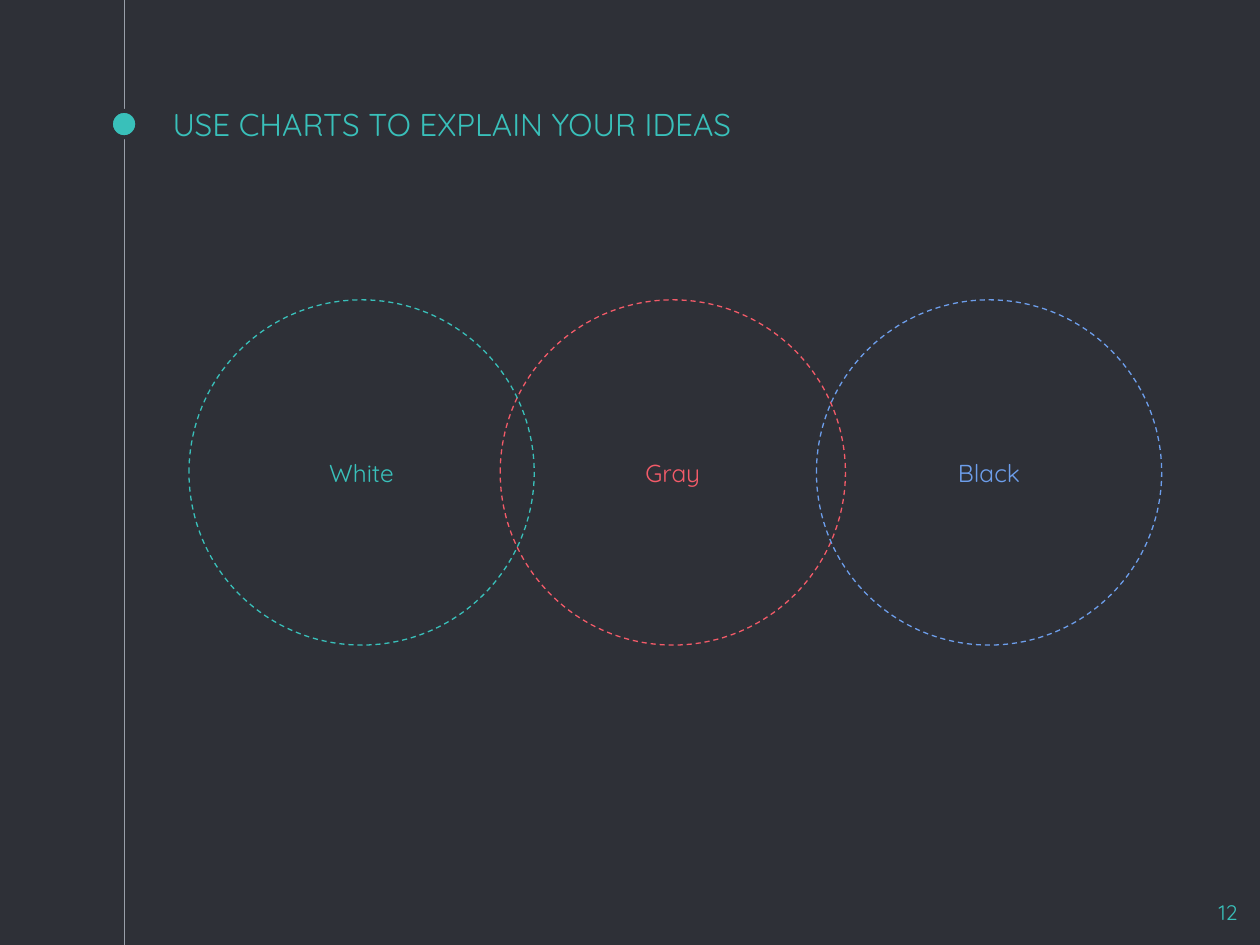
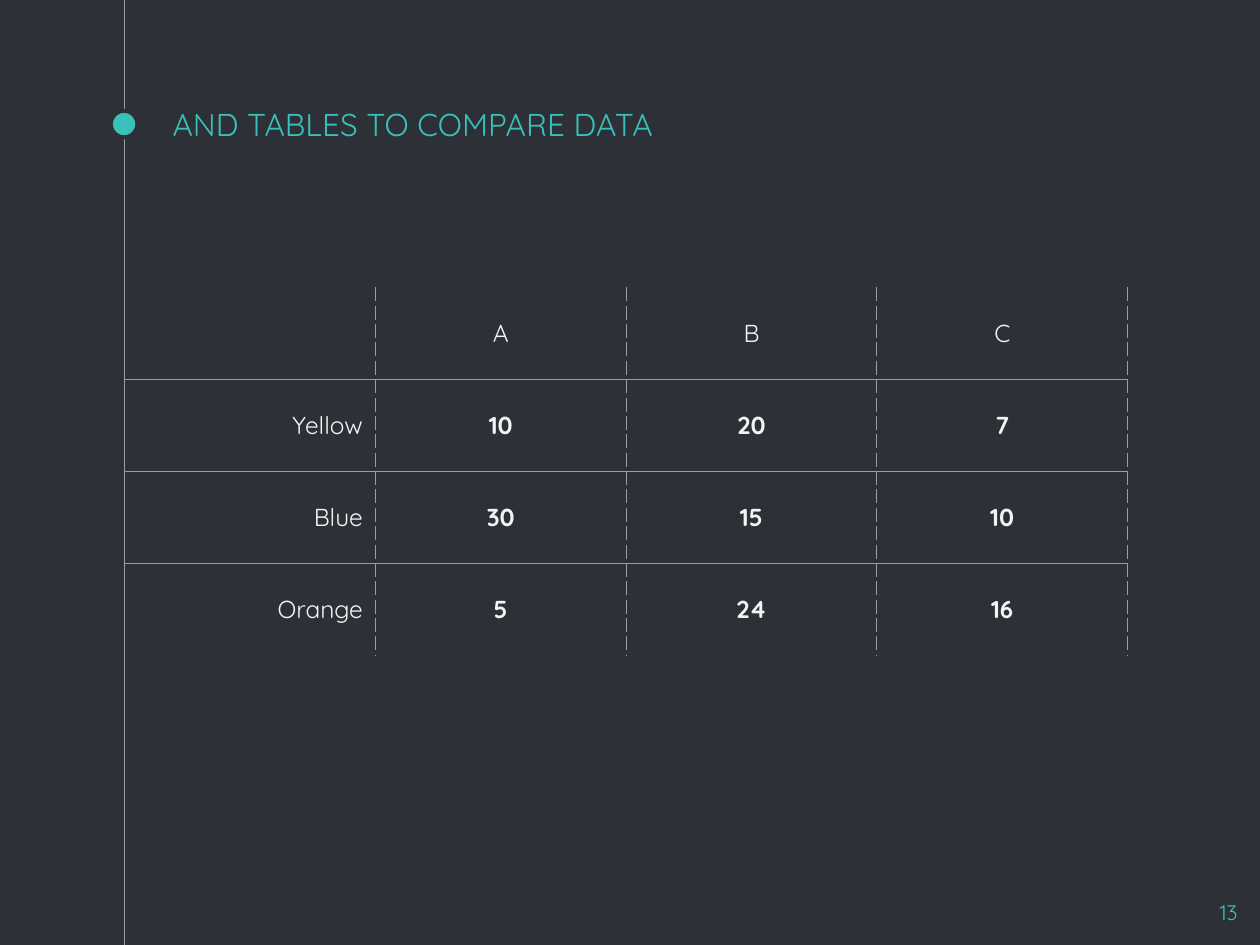
from dataclasses import dataclass

from lxml.etree import SubElement
from pptx import Presentation
from pptx.dml.color import RGBColor
from pptx.enum.dml import MSO_LINE
from pptx.enum.shapes import MSO_CONNECTOR, MSO_SHAPE
from pptx.enum.text import MSO_ANCHOR, MSO_AUTO_SIZE, PP_ALIGN
from pptx.oxml.ns import qn
from pptx.util import Inches, Pt


@dataclass(frozen=True)
class Theme:
    font: str = "Quicksand"
    background: str = "2E3037"
    teal: str = "39C0BA"
    red: str = "F35B69"
    blue: str = "6D9EEB"
    rule: str = "999FA9"
    light: str = "F3F3F3"
    title_size: int = 18
    body_size: int = 14
    number_size: int = 12
    thin: float = 0.75
    thick: float = 2.25
    inset: float = 0.1
    timeline_x: float = 0.99


class Deck:
    """Holds the theme and the slide being built."""

    def __init__(self, theme):
        self.theme = theme
        self.presentation = Presentation()
        self.presentation.slide_width = Inches(10)
        self.presentation.slide_height = Inches(7.5)
        self.fill(self.presentation.slide_master.background, theme.background)
        self.slide = None

    # Formatting helpers
    def fill(self, target, color):
        target.fill.solid()
        target.fill.fore_color.rgb = RGBColor.from_string(color)

    def outline(self, shape, color, width):
        shape.line.color.rgb = RGBColor.from_string(color)
        shape.line.width = Pt(width)

    def add_text(self, frame, text, color, size, align=PP_ALIGN.LEFT, bold=False):
        paragraph = frame.paragraphs[0]
        paragraph.alignment = align
        run = paragraph.add_run()
        run.text = text
        run.font.name = self.theme.font
        run.font.size = Pt(size)
        run.font.bold = bold
        run.font.color.rgb = RGBColor.from_string(color)

    def prepare(self, frame, anchor):
        frame.word_wrap = True
        frame.auto_size = MSO_AUTO_SIZE.NONE
        frame.vertical_anchor = anchor
        self.set_margins(frame)

    def set_margins(self, holder):
        margin = Inches(self.theme.inset)
        holder.margin_left = holder.margin_right = margin
        holder.margin_top = holder.margin_bottom = margin

    def border(self, cell, side, dashed=False, visible=True):
        line = SubElement(cell._tc.get_or_add_tcPr(), qn(f"a:ln{side}"),
                          w=str(Pt(self.theme.thin)))
        if not visible:
            SubElement(line, qn("a:noFill"))
            return
        solid = SubElement(line, qn("a:solidFill"))
        SubElement(solid, qn("a:srgbClr"), val=self.theme.rule)
        SubElement(line, qn("a:prstDash"), val="dash" if dashed else "solid")

    # Elements
    def add_slide(self, title, number):
        layout = self.presentation.slide_layouts.get_by_name("Title Only")
        self.slide = self.presentation.slides.add_slide(layout)
        self.timeline()
        self.title(title)
        self.page_number(number)

    def timeline(self):
        theme = self.theme
        x = Inches(theme.timeline_x)
        line = self.slide.shapes.add_connector(
            MSO_CONNECTOR.STRAIGHT, x, 0, x, self.presentation.slide_height)
        self.outline(line, theme.rule, theme.thin)
        SubElement(line._element.spPr, qn("a:effectLst"))
        dot = self.ellipse(0.88, 0.88, 0.21, theme.background, theme.thick)
        self.fill(dot, theme.teal)

    def title(self, text):
        title = self.slide.shapes.title
        title.left, title.top = Inches(1.27), Inches(0.73)
        title.width, title.height = Inches(7.5), Inches(0.5)
        self.prepare(title.text_frame, MSO_ANCHOR.BOTTOM)
        self.add_text(title.text_frame, text, self.theme.teal,
                      self.theme.title_size)

    def page_number(self, number):
        box = self.slide.shapes.add_textbox(
            Inches(9.32), Inches(7.04), Inches(0.6), Inches(0.46))
        self.prepare(box.text_frame, MSO_ANCHOR.TOP)
        self.add_text(box.text_frame, str(number), self.theme.teal,
                      self.theme.number_size, PP_ALIGN.RIGHT)

    def ellipse(self, left, top, diameter, color, width):
        shape = self.slide.shapes.add_shape(
            MSO_SHAPE.OVAL, Inches(left), Inches(top),
            Inches(diameter), Inches(diameter))
        shape.shadow.inherit = False
        self.outline(shape, color, width)
        return shape

    def dashed_circle(self, label, left, color):
        circle = self.ellipse(left, 2.38, 2.74, color, self.theme.thin)
        circle.fill.background()
        circle.line.dash_style = MSO_LINE.DASH
        self.prepare(circle.text_frame, MSO_ANCHOR.MIDDLE)
        self.add_text(circle.text_frame, label, color, self.theme.body_size,
                      PP_ALIGN.CENTER)

    def table(self, rows, top, column_width, row_height):
        row_count, column_count = len(rows), len(rows[0])
        frame = self.slide.shapes.add_table(
            row_count, column_count, Inches(self.theme.timeline_x), Inches(top),
            Inches(column_width * column_count), Inches(row_height * row_count))
        table = frame.table
        table.first_row = table.horz_banding = False
        for row_index, row in enumerate(rows):
            for column_index, text in enumerate(row):
                cell = table.cell(row_index, column_index)
                self.set_margins(cell)
                cell.vertical_anchor = MSO_ANCHOR.MIDDLE
                # Dashed columns, solid rules between rows, open top and bottom
                self.border(cell, "L", dashed=True)
                self.border(cell, "R", dashed=True)
                self.border(cell, "T", visible=row_index > 0)
                self.border(cell, "B", visible=row_index < row_count - 1)
                cell.fill.background()
                if text:
                    row_label = column_index == 0
                    self.add_text(cell.text_frame, text, self.theme.light,
                                  self.theme.body_size,
                                  PP_ALIGN.RIGHT if row_label else PP_ALIGN.CENTER,
                                  bold=row_index > 0 and not row_label)


def main():
    theme = Theme()
    deck = Deck(theme)

    # Overlapping circles, the middle one at the back
    deck.add_slide("USE CHARTS TO EXPLAIN YOUR IDEAS", 12)
    for label, left, color in (("Gray", 3.97, theme.red),
                               ("White", 1.5, theme.teal),
                               ("Black", 6.48, theme.blue)):
        deck.dashed_circle(label, left, color)

    # Comparison table
    deck.add_slide("AND TABLES TO COMPARE DATA", 13)
    deck.table([("", "A", "B", "C"),
                ("Yellow", "10", "20", "7"),
                ("Blue", "30", "15", "10"),
                ("Orange", "5", "24", "16")],
               top=2.28, column_width=1.99, row_height=0.73)

    deck.presentation.save("out.pptx")


if __name__ == "__main__":
    main()
